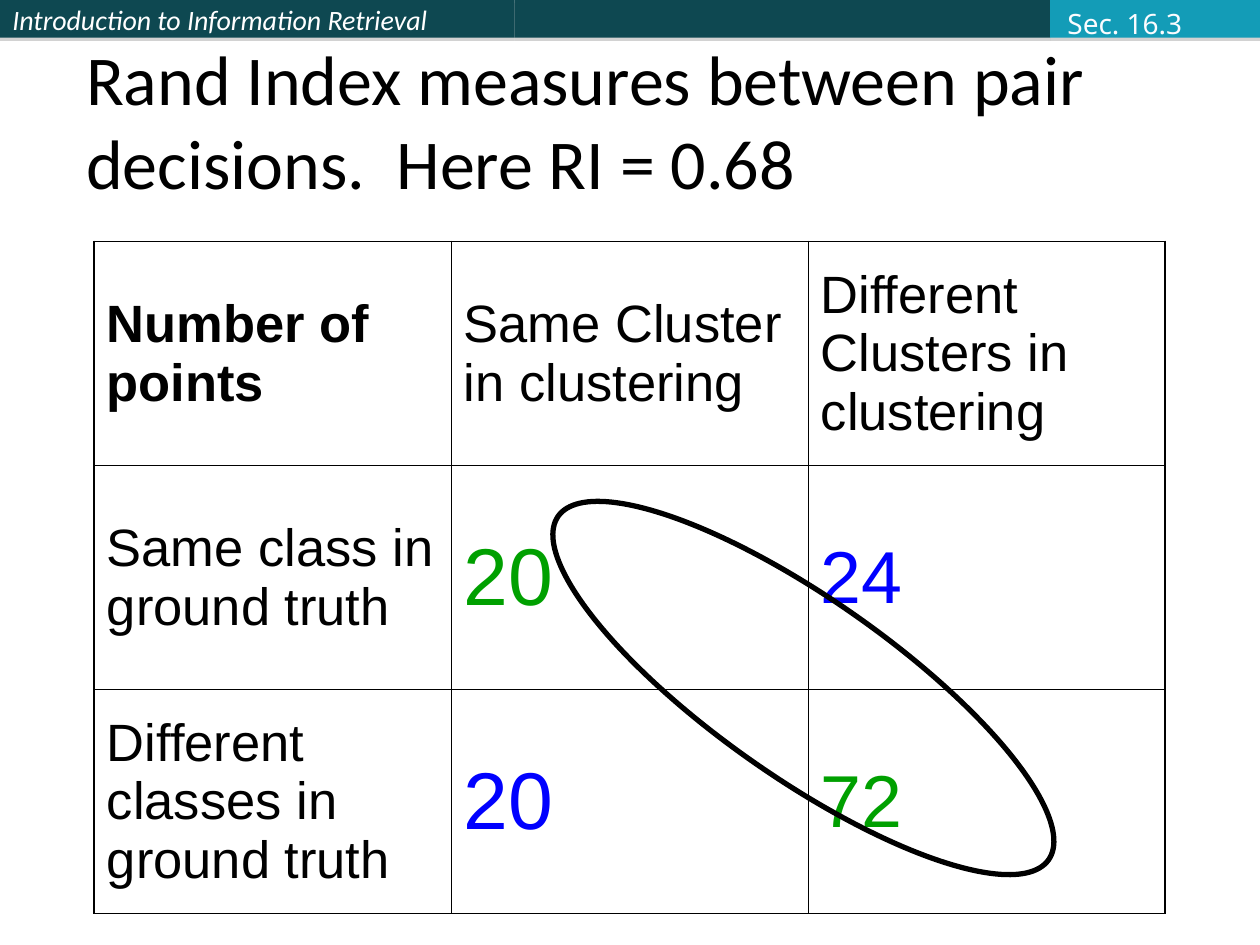
from typing import NamedTuple

from lxml import etree
from pptx import Presentation, util as u
from pptx.dml.color import RGBColor
from pptx.enum import shapes, text
from pptx.oxml.ns import qn

BLACK, WHITE, GREEN, BLUE = "000000", "FFFFFF", "00A000", "0000FF"
TEAL, CYAN = "0E4851", "139CB7"
THIN, OUTER = 0.45, 1.08


class Bar(NamedTuple):
    left: float
    width: float
    fill: str


class Entry(NamedTuple):
    words: str
    size: float = 30
    color: str = BLACK
    bold: bool = False


BARS = [Bar(0, 10.37, TEAL), Bar(10.37, 10.8, TEAL), Bar(21.17, 4.23, CYAN)]
ROWS = [
    [Entry("Number of points", bold=True), Entry("Same Cluster in clustering"),
     Entry("Different Clusters in clustering")],
    [Entry("Same class in ground truth"), Entry("20", 46, GREEN), Entry("24", 42, BLUE)],
    [Entry("Different classes in ground truth"), Entry("20", 46, BLUE), Entry("72", 42, GREEN)],
]


def rgb(color: str) -> RGBColor:
    return RGBColor.from_string(color)


def write(frame, words: str, size: float, name: str, color: str,
          bold: bool = False, italic: bool = False) -> None:
    frame.text = words
    paragraph = frame.paragraphs[0]
    paragraph.alignment = text.PP_ALIGN.LEFT
    font = paragraph.runs[0].font
    font.size, font.name = u.Pt(size), name
    font.bold, font.italic = bold, italic
    font.color.rgb = rgb(color)


def add_color(parent, color: str):
    return etree.SubElement(parent, qn("a:srgbClr"), val=color)


def draw_bar(slide, bar: Bar):
    shape = slide.shapes.add_shape(shapes.MSO_SHAPE.RECTANGLE, u.Cm(bar.left), 0,
                                   u.Cm(bar.width), u.Cm(0.76))
    shape.fill.solid()
    shape.fill.fore_color.rgb = rgb(bar.fill)
    shape.line.fill.background()
    shape.shadow.inherit = False
    effects = shape._element.spPr.find(qn("a:effectLst"))
    shadow = etree.SubElement(effects, qn("a:outerShdw"), dist=str(u.Pt(1.8)),
                              dir="5400000", algn="ctr", rotWithShape="0")
    etree.SubElement(add_color(shadow, "808080"), qn("a:alpha"), val="35000")
    return shape


def set_borders(cell, widths: dict[str, float]) -> None:
    properties = cell._tc.get_or_add_tcPr()
    for side, width in widths.items():
        line = etree.SubElement(properties, qn(f"a:ln{side}"), w=str(u.Pt(width)))
        add_color(etree.SubElement(line, qn("a:solidFill")), BLACK)


def draw_table(slide, rows: list[list[Entry]]) -> None:
    last_row, last_column = len(rows) - 1, len(rows[0]) - 1
    table = slide.shapes.add_table(len(rows), len(rows[0]), u.Cm(1.9), u.Cm(4.87),
                                   u.Cm(21.59), u.Cm(13.55)).table
    table.first_row = table.horz_banding = False
    for i, row in enumerate(rows):
        for j, entry in enumerate(row):
            cell = table.cell(i, j)
            write(cell.text_frame, entry.words, entry.size, "Arial", entry.color, entry.bold)
            cell.vertical_anchor = text.MSO_ANCHOR.MIDDLE
            set_borders(cell, {
                "L": OUTER if j == 0 else THIN,
                "R": OUTER if j == last_column else THIN,
                "T": OUTER if i == 0 else THIN,
                "B": OUTER if i == last_row else THIN,
            })
            cell.fill.background()


def draw_agreement_ellipse(slide) -> None:
    ellipse = slide.shapes.add_shape(shapes.MSO_SHAPE.OVAL, u.Cm(10.16), u.Cm(12.07),
                                     u.Cm(12.07), u.Cm(3.6))
    ellipse.rotation = 35
    ellipse.fill.background()
    ellipse.line.color.rgb = rgb(BLACK)
    ellipse.line.width = u.Pt(3)
    ellipse.shadow.inherit = False


def draw_title(slide) -> None:
    title = slide.shapes.title
    title.left, title.top = u.Cm(1.48), u.Cm(1.48)
    title.width, title.height = u.Cm(22.44), u.Cm(2.75)
    frame = title.text_frame
    frame.auto_size = text.MSO_AUTO_SIZE.NONE
    frame.vertical_anchor = text.MSO_ANCHOR.BOTTOM
    write(frame, "Rand Index measures between pair decisions.  Here RI = 0.68",
          40, "Calibri", BLACK)


def draw_section(slide) -> None:
    frame = slide.shapes.add_textbox(u.Cm(21.27), 0, u.Cm(2.83), u.Cm(0.93)).text_frame
    frame.word_wrap = False
    frame.vertical_anchor = text.MSO_ANCHOR.MIDDLE
    write(frame, "Sec. 16.3", 16, "Noto Sans", "FBFCFF")


def main() -> None:
    presentation = Presentation()
    presentation.slide_width, presentation.slide_height = u.Cm(25.4), u.Cm(19.05)
    slide = presentation.slides.add_slide(presentation.slide_layouts[5])
    course_bar, *_ = [draw_bar(slide, bar) for bar in BARS]
    write(course_bar.text_frame, "Introduction to Information Retrieval",
          16, "Calibri", WHITE, italic=True)
    draw_title(slide)
    draw_table(slide, ROWS)
    draw_agreement_ellipse(slide)
    draw_section(slide)
    presentation.save("out.pptx")


if __name__ == "__main__":
    main()
